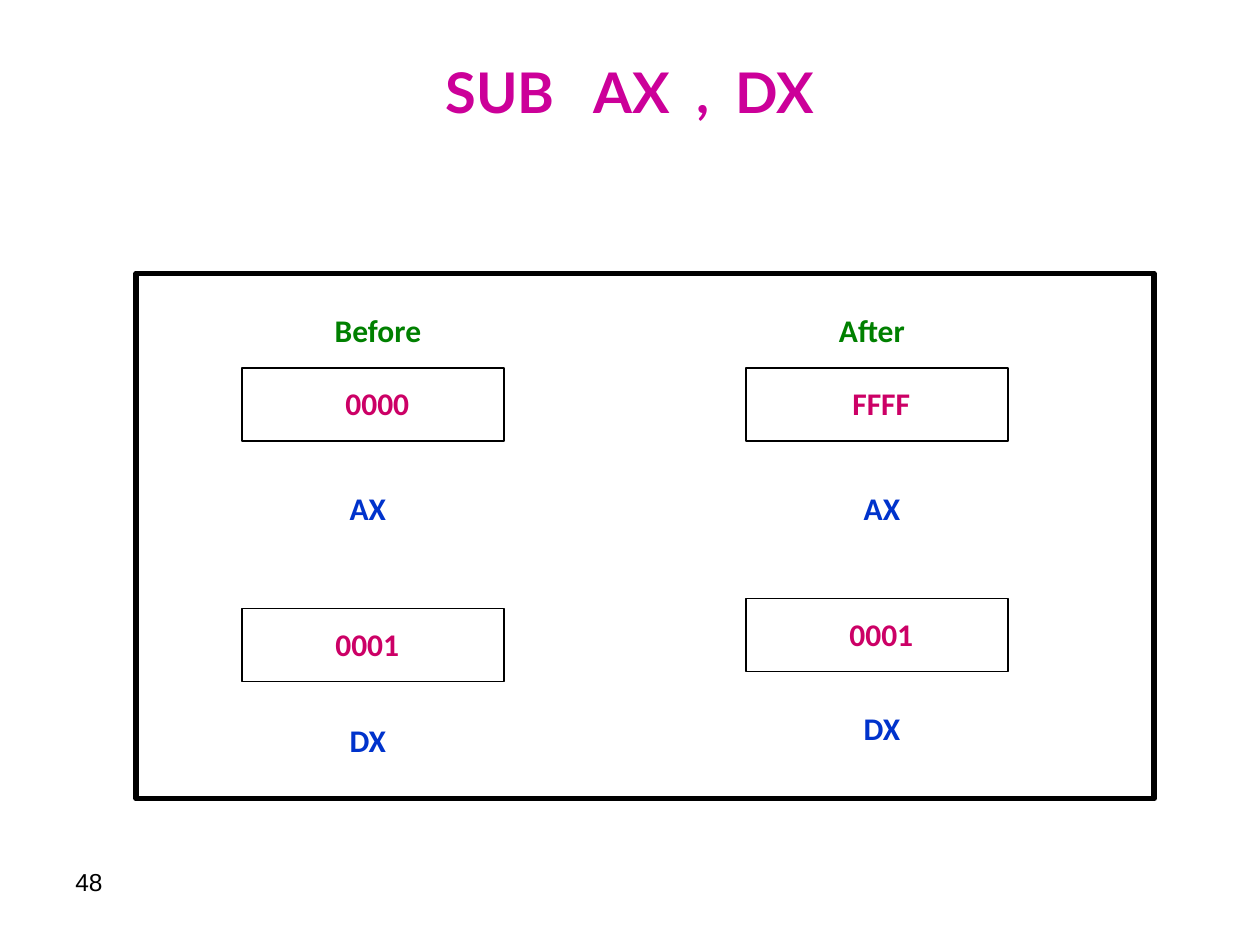
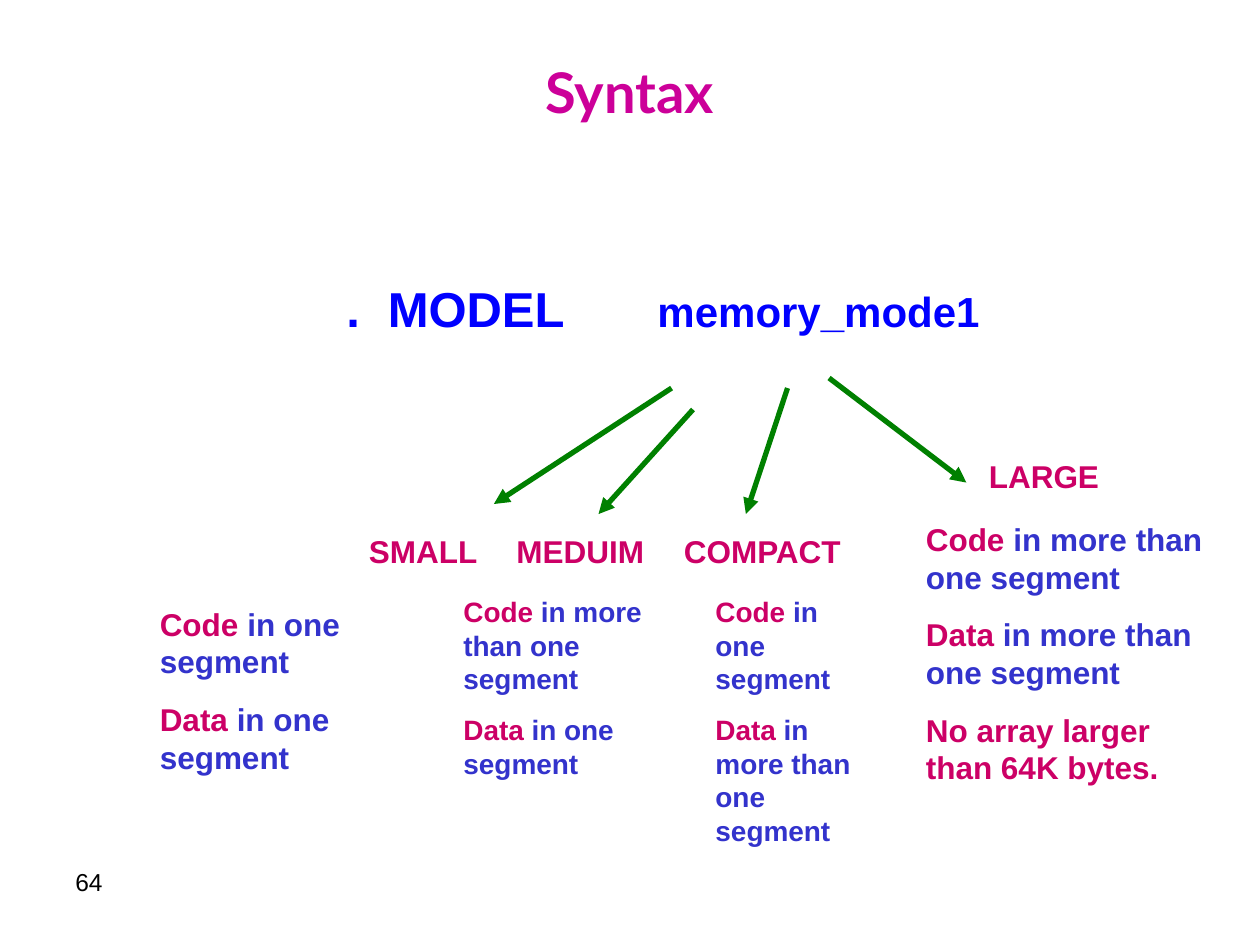
from pptx import Presentation
from pptx.dml.color import RGBColor
from pptx.enum.shapes import MSO_CONNECTOR, MSO_SHAPE
from pptx.enum.text import MSO_ANCHOR, PP_ALIGN
from pptx.oxml.ns import qn
from pptx.util import Inches, Pt
from lxml.etree import SubElement

COLORS = {
    "title": "CC0099",
    "heading": "008000",
    "register": "0033CC",
    "key": "CC0066",
    "detail": "3333CC",
    "syntax": "0000FF",
    "arrow": "008000",
    "ink": "000000",
}
BODY_FONT = "Arial"
TITLE_FONT = "Lato"
REGISTER_FONT = "Calibri"
TITLE_SPACE = 7.2


def color(name):
    return RGBColor.from_string(COLORS[name])


def add_span(para, text, size, shade, font=BODY_FONT, bold=True):
    span = para.add_run()
    span.text = text
    span.font.size = Pt(size)
    span.font.name = font
    span.font.bold = bold
    span.font.color.rgb = color(shade)
    return span


def add_box(page, left, top, width, height):
    box = page.shapes.add_textbox(
        Inches(left), Inches(top), Inches(width), Inches(height))
    box.text_frame.word_wrap = True
    return box.text_frame


def add_label(page, left, top, width, text, shade, font=BODY_FONT, align=PP_ALIGN.LEFT):
    para = add_box(page, left, top, width, 0.4).paragraphs[0]
    para.alignment = align
    add_span(para, text, 18, shade, font)


def add_title(page, words, gaps=()):
    frame = add_box(page, 0.5, 0.3, 9, 0.85)
    frame.vertical_anchor = MSO_ANCHOR.MIDDLE
    para = frame.paragraphs[0]
    para.alignment = PP_ALIGN.CENTER
    for index, word in enumerate(words):
        if index:
            space = add_span(para, " ", 32, "title", TITLE_FONT)
            extra = (gaps[index - 1] - 1) * TITLE_SPACE
            space.font._element.set("spc", str(round(extra * 100)))
        add_span(para, word, 32, "title", TITLE_FONT)


def add_page(deck, number, words, gaps=()):
    page = deck.slides.add_slide(deck.slide_layouts[6])
    add_title(page, words, gaps)
    para = add_box(page, 0.5, 6.83, 2.33, 0.52).paragraphs[0]
    add_span(para, str(number), 14, "ink", bold=False)
    return page


def add_frame(page, left, top, width, height, weight):
    frame = page.shapes.add_shape(
        MSO_SHAPE.RECTANGLE, Inches(left), Inches(top), Inches(width), Inches(height))
    frame.shadow.inherit = False
    frame.fill.background()
    frame.line.color.rgb = color("ink")
    frame.line.width = Pt(weight)


def add_register(page, cell, value, value_left, name, name_at):
    left, top = cell
    add_frame(page, left, top, 2.08, 0.58, 0.75)
    add_label(page, value_left, top + 0.08, 1.83, value, "key", REGISTER_FONT, PP_ALIGN.CENTER)
    add_label(page, *name_at, 2, name, "register", REGISTER_FONT, PP_ALIGN.CENTER)


def add_arrow(page, start, end):
    arrow = page.shapes.add_connector(
        MSO_CONNECTOR.STRAIGHT, *[Inches(length) for length in (*start, *end)])
    arrow.line.color.rgb = color("arrow")
    arrow.line.width = Pt(3)
    SubElement(arrow.line._get_or_add_ln(), qn("a:tailEnd"), type="triangle")
    SubElement(arrow._element.spPr, qn("a:effectLst"))


def add_details(page, left, top, width, height, size, details):
    frame = add_box(page, left, top, width, height)
    for index, (key, detail) in enumerate(details):
        para = frame.add_paragraph() if index else frame.paragraphs[0]
        if index:
            para.space_before = Pt(size * 0.62)
        add_span(para, key, size, "key")
        if detail:
            add_span(para, detail, size, "detail")


def add_directive(page):
    para = add_box(page, 2.65, 2.16, 6.5, 0.6).paragraphs[0]
    tabs = SubElement(para._p.get_or_add_pPr(), qn("a:tabLst"))
    for stop in (0.33, 2.47):
        SubElement(tabs, qn("a:tab"), pos=str(Inches(stop)), algn="l")
    add_span(para, ".\tMODEL\t", 28, "syntax")
    add_span(para, "memory_mode1", 24, "syntax")


def build_subtraction(deck):
    page = add_page(deck, 48, ["SUB", "AX", ",", "DX"], [3, 2, 2])
    add_frame(page, 1.08, 2.17, 8.08, 4.17, 3)
    for left, heading in ((2, "Before"), (5.92, "After")):
        add_label(page, left, 2.42, 2, heading, "heading", REGISTER_FONT, PP_ALIGN.CENTER)
    registers = [
        ((1.92, 2.92), "0000", 2.08, "AX", (1.92, 3.83)),
        ((1.92, 4.83), "0001", 2, "DX", (1.92, 5.67)),
        ((5.92, 2.92), "FFFF", 6.08, "AX", (6, 3.83)),
        ((5.92, 4.75), "0001", 6.08, "DX", (6, 5.58)),
    ]
    for register in registers:
        add_register(page, *register)


def build_syntax(deck):
    page = add_page(deck, 64, ["Syntax"])
    add_directive(page)
    one, many = " in one segment", " in more than one segment"
    models = [
        ("SMALL", (2.83, 4.17, 1.17), (5.33, 3.08), (3.92, 4),
         (1.17, 4.75, 1.83, 1.46, 18), [("Code", one), ("Data", one)]),
        ("MEDUIM", (4, 4.17, 1.25), (5.5, 3.25), (4.75, 4.08),
         (3.58, 4.67, 1.67, 1.57, 16), [("Code", many), ("Data", one)]),
        ("COMPACT", (5.33, 4.17, 1.67), (6.25, 3.08), (5.92, 4.08),
         (5.58, 4.67, 1.42, 2.11, 16), [("Code", one), ("Data", many)]),
        ("LARGE", (7.75, 3.58, 1.17), (6.58, 3), (7.67, 3.83),
         (7.25, 4.08, 2.5, 2.67, 18),
         [("Code", many), ("Data", many), ("No array larger than 64K bytes.", "")]),
    ]
    for name, name_place, start, end, details_place, details in models:
        add_arrow(page, start, end)
        add_label(page, *name_place, name, "key")
        add_details(page, *details_place, details)


def main():
    deck = Presentation()
    deck.slide_width = Inches(10)
    deck.slide_height = Inches(7.5)
    build_subtraction(deck)
    build_syntax(deck)
    deck.save("out.pptx")


if __name__ == "__main__":
    main()
